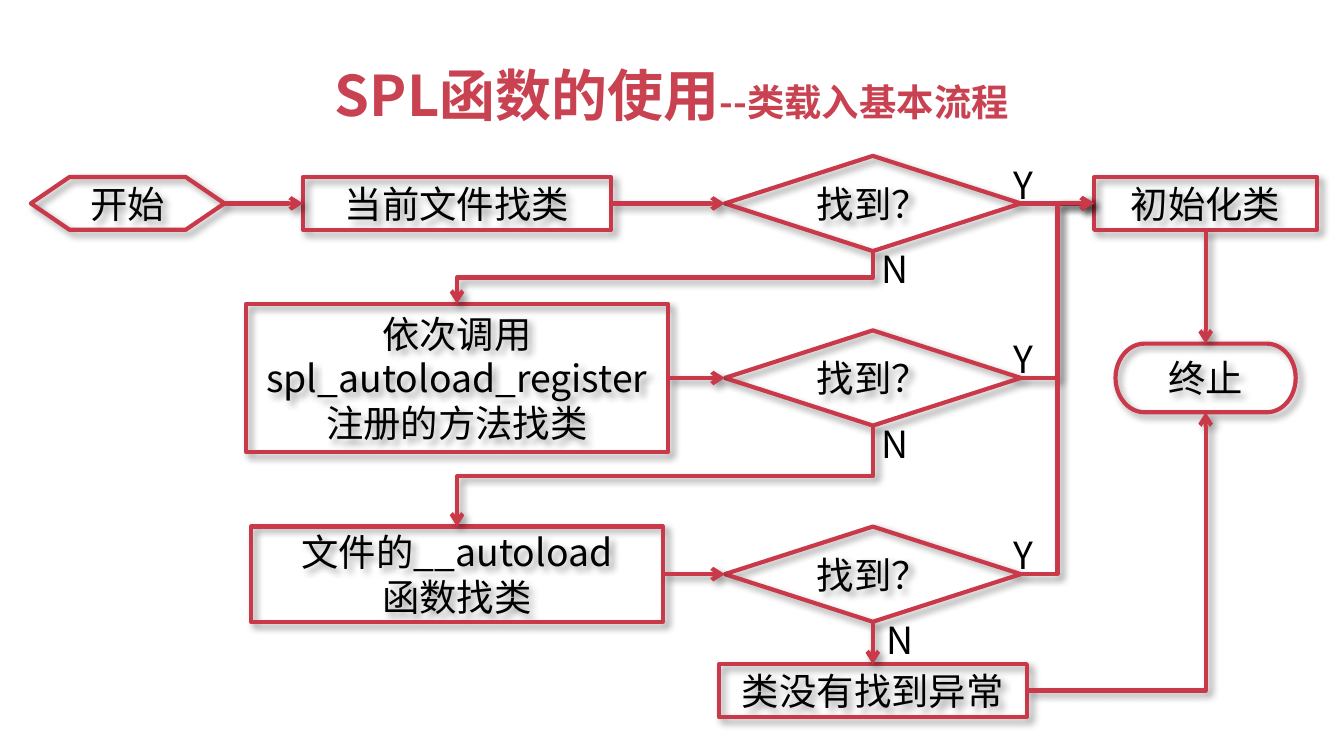
from lxml import etree
from pptx import Presentation
from pptx.dml.color import RGBColor
from pptx.enum.shapes import MSO_CONNECTOR, MSO_SHAPE
from pptx.enum.text import MSO_ANCHOR, MSO_AUTO_SIZE, PP_ALIGN
from pptx.oxml.ns import qn
from pptx.util import Pt

STRAIGHT, ELBOW = MSO_CONNECTOR.STRAIGHT, MSO_CONNECTOR.ELBOW
PROCESS = MSO_SHAPE.FLOWCHART_PROCESS
DECISION = MSO_SHAPE.FLOWCHART_DECISION
PREPARATION = MSO_SHAPE.FLOWCHART_PREPARATION
TERMINATOR = MSO_SHAPE.FLOWCHART_TERMINATOR
CENTER, MIDDLE = PP_ALIGN.CENTER, MSO_ANCHOR.MIDDLE
TOP, LEFT, BOTTOM, RIGHT = range(4)
FONT = "Noto Sans CJK SC"
RED, TITLE_RED, BLACK = "C9394A", "C94251", "000000"
STEP_X, DECISION_X, END_X = 244.8, 467.6, 645.9
ROWS = (109, 202.5, 307.6)


def color(hex_value):
    """Turn a hex string into a colour."""
    return RGBColor.from_string(hex_value)


def set_font(para, size, hex_value, bold=False):
    """Set the font of a whole paragraph, East Asian text included."""
    font = para.font
    font.name, font.size, font.bold = FONT, Pt(size), bold
    font.color.rgb = color(hex_value)
    defaults = para._p.pPr.find(qn("a:defRPr"))
    latin = defaults.find(qn("a:latin"))
    latin.addnext(defaults.makeelement(qn("a:ea"), {"typeface": FONT}))


def add_shadow(item):
    """Give a shape or connector a soft shadow to the lower right."""
    effects = etree.SubElement(item.element.spPr, qn("a:effectLst"))
    shadow = etree.SubElement(
        effects, qn("a:outerShdw"), blurRad=str(Pt(4)), dist=str(Pt(3)),
        dir="2700000", algn="tl", rotWithShape="0")
    tint = etree.SubElement(shadow, qn("a:srgbClr"), val=BLACK)
    etree.SubElement(tint, qn("a:alpha"), val="40000")


def set_line(item):
    """Apply the red outline."""
    item.line.color.rgb = color(RED)
    item.line.width = Pt(2.25)


def add_title(page, main_text, sub_text):
    """Fill the title placeholder with a large and a small part."""
    title = page.shapes.title
    title.left, title.top, title.width, title.height = map(Pt, (36, 16.6, 648, 67.7))
    title.text_frame.vertical_anchor = MIDDLE
    para = title.text_frame.paragraphs[0]
    para.alignment = CENTER
    set_font(para, 30, TITLE_RED, True)
    for text, size in ((main_text, 30), (sub_text, 20)):
        span = para.add_run()
        span.text = text
        span.font.size = Pt(size)


def add_box(page, kind, x, y, width, height, text):
    """Add a flowchart box centred on a point."""
    box = page.shapes.add_shape(
        kind, Pt(x - width / 2), Pt(y - height / 2), Pt(width), Pt(height))
    box.fill.background()
    set_line(box)
    add_shadow(box)
    frame = box.text_frame
    frame.word_wrap = True
    frame.vertical_anchor = MIDDLE
    frame.text = text
    for para in frame.paragraphs:
        para.alignment = CENTER
        set_font(para, 20, BLACK)
    return box


def add_arrow(page, kind, start, start_site, end, end_site):
    """Add an arrow glued to two boxes."""
    arrow = page.shapes.add_connector(kind, 0, 0, 0, 0)
    arrow.begin_connect(start, start_site)
    arrow.end_connect(end, end_site)
    set_line(arrow)
    etree.SubElement(arrow.line._get_or_add_ln(), qn("a:tailEnd"), type="arrow")
    add_shadow(arrow)
    return arrow


def add_drop_arrow(page, start, end):
    """Add an elbow arrow that leaves downwards and ends downwards."""
    arrow = add_arrow(page, ELBOW, start, BOTTOM, end, TOP)
    span_x = arrow.begin_x - arrow.end_x
    span_y = arrow.end_y - arrow.begin_y
    middle_x = (arrow.begin_x + arrow.end_x) // 2
    middle_y = (arrow.begin_y + arrow.end_y) // 2
    frame = arrow.element.spPr.find(qn("a:xfrm"))
    frame.attrib.clear()
    frame.set("rot", "5400000")
    arrow.left, arrow.top = middle_x - span_y // 2, middle_y - span_x // 2
    arrow.width, arrow.height = span_y, span_x


def add_corner_arrow(page, start, end):
    """Add an arrow with one corner, going right and then up."""
    arrow = add_arrow(page, ELBOW, start, RIGHT, end, BOTTOM)
    arrow.element.spPr.find(qn("a:prstGeom")).set("prst", "bentConnector2")


def add_label(page, x, y, width, text):
    """Add a branch label."""
    label = page.shapes.add_textbox(Pt(x), Pt(y), Pt(width), Pt(31.5))
    frame = label.text_frame
    frame.word_wrap = False
    frame.auto_size = MSO_AUTO_SIZE.SHAPE_TO_FIT_TEXT
    frame.text = text
    set_font(frame.paragraphs[0], 20, BLACK)


def main():
    """Build the class loading flowchart."""
    deck = Presentation()
    deck.slide_width, deck.slide_height = Pt(720), Pt(405)
    page = deck.slides.add_slide(deck.slide_layouts[5])
    add_title(page, "SPL函数的使用", "--类载入基本流程")

    start = add_box(page, PREPARATION, 68.4, ROWS[0], 103.7, 28.3, "开始")
    steps = [
        add_box(page, PROCESS, STEP_X, y, width, height, text)
        for y, width, height, text in (
            (ROWS[0], 165, 28.3, "当前文件找类"),
            (ROWS[1], 226, 79.4, "依次调用\nspl_autoload_register注册的方法找类"),
            (ROWS[2], 220.5, 51, "文件的__autoload\n函数找类"),
        )
    ]
    decisions = [add_box(page, DECISION, DECISION_X, y, 158.6, 51, "找到？") for y in ROWS]
    create = add_box(page, PROCESS, END_X, ROWS[0], 119.5, 28.3, "初始化类")
    stop = add_box(page, TERMINATOR, END_X, ROWS[1], 96.5, 36.8, "终止")
    error = add_box(page, PROCESS, DECISION_X, 370, 165, 28.3, "类没有找到异常")

    add_arrow(page, STRAIGHT, start, RIGHT, steps[0], LEFT)
    for step, decision in zip(steps, decisions):
        add_arrow(page, STRAIGHT, step, RIGHT, decision, LEFT)
        kind = STRAIGHT if decision is decisions[0] else ELBOW
        add_arrow(page, kind, decision, RIGHT, create, LEFT)
    for decision, step in zip(decisions, steps[1:]):
        add_drop_arrow(page, decision, step)
    add_arrow(page, STRAIGHT, decisions[2], BOTTOM, error, TOP)
    add_arrow(page, STRAIGHT, create, BOTTOM, stop, TOP)
    add_corner_arrow(page, error, stop)

    for y, no_x in zip(ROWS, (465, 465, 468)):
        add_label(page, 535.7, y - 25.8, 26.6, "Y")
        add_label(page, no_x, y + 19.5, 31, "N")
    deck.save("out.pptx")


if __name__ == "__main__":
    main()
